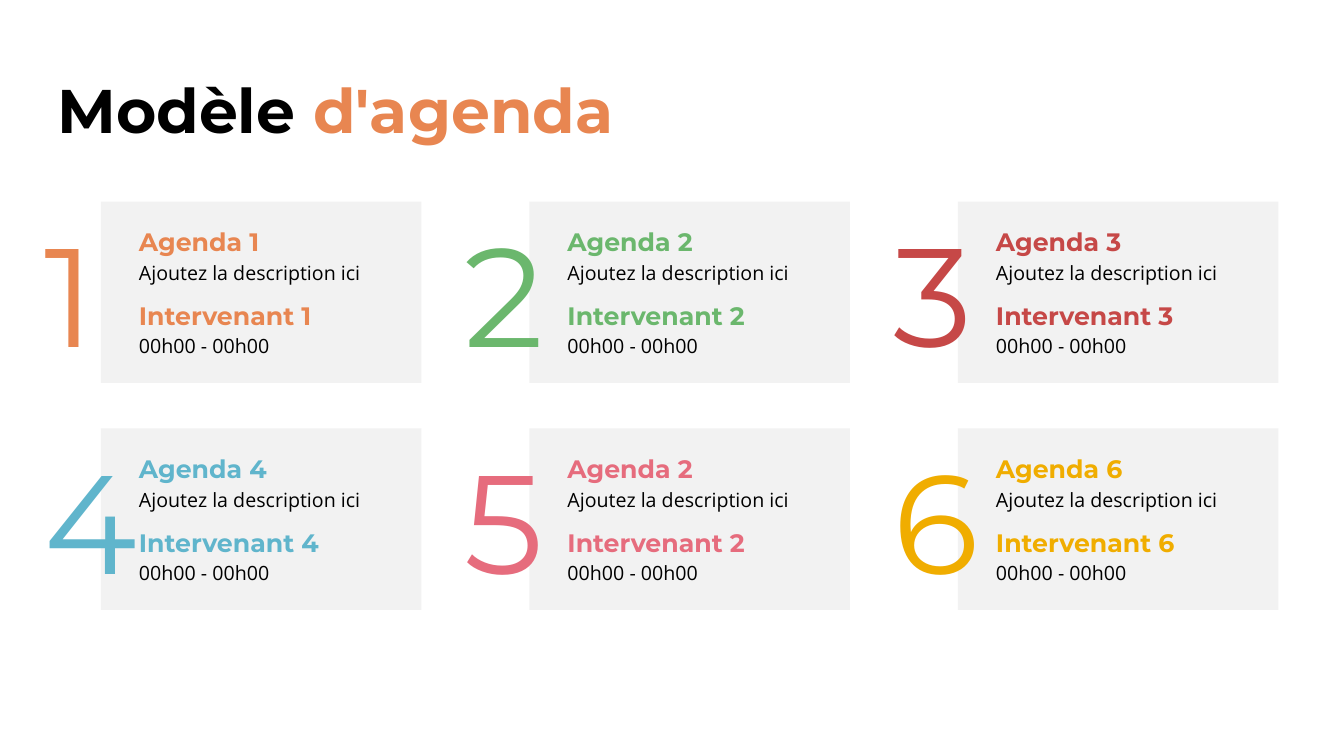
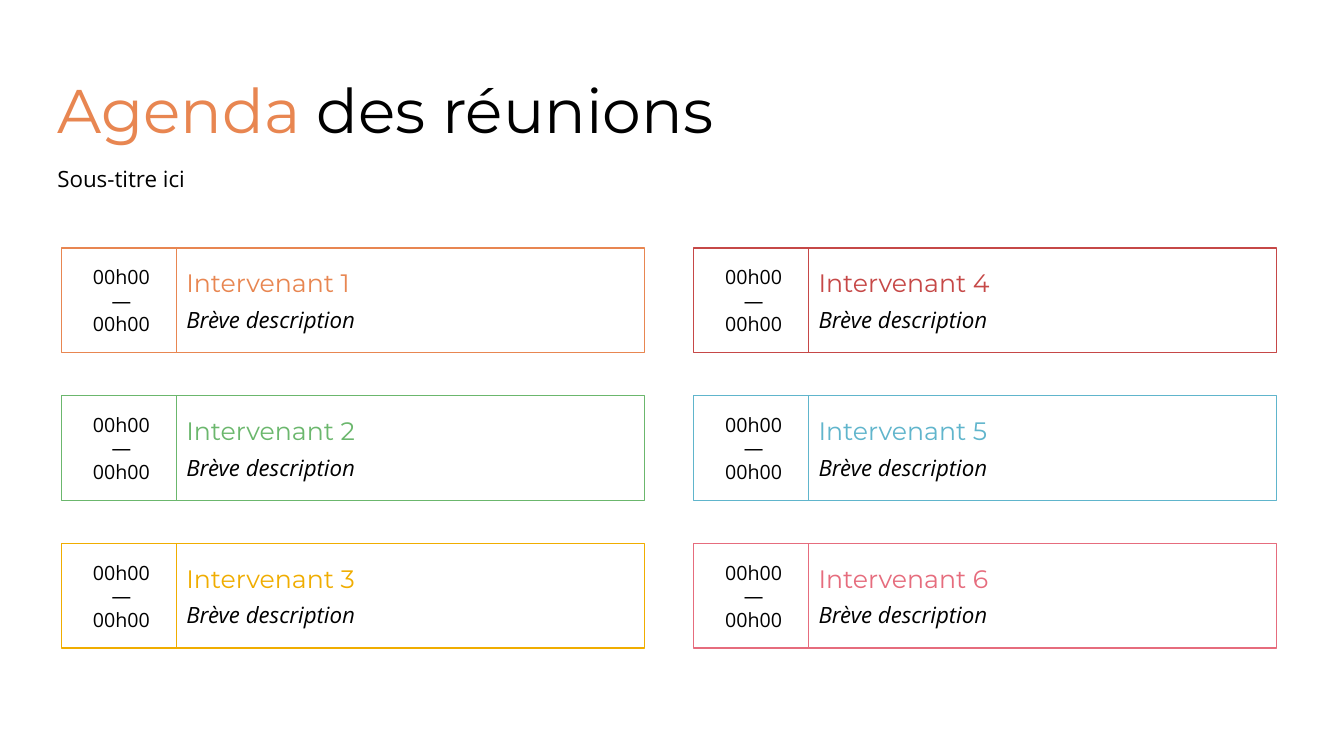
from collections import namedtuple

from pptx import Presentation
from pptx.dml.color import RGBColor as RGB
from pptx.enum.shapes import MSO_SHAPE as Shape
from pptx.enum.text import MSO_ANCHOR as Anchor, PP_ALIGN as Align
from pptx.util import Inches, Pt

# Shared colours and fonts
BLACK = RGB(0x00, 0x00, 0x00)
WHITE = RGB(0xFF, 0xFF, 0xFF)
GREY = RGB(0xF2, 0xF2, 0xF2)
ORANGE = RGB(0xE8, 0x86, 0x51)
GREEN = RGB(0x6B, 0xB7, 0x6D)
RED = RGB(0xC6, 0x48, 0x47)
BLUE = RGB(0x60, 0xB5, 0xCC)
PINK = RGB(0xE6, 0x6C, 0x7D)
GOLD = RGB(0xF0, 0xAD, 0x00)
HEAD, BODY = "Montserrat", "Open Sans"

Box = namedtuple("Box", "x y w h")
Grid = namedtuple("Grid", "x y w h dx dy")

WIDE, HIGH = 13.33, 7.5
TITLE = Box(0.47, 0.4, 11.5, 1.45)
CARDS = Grid(1, 2, 3.18, 1.8, 4.25, 2.25)
SLOTS = Grid(0.61, 2.46, 5.78, 1.04, 6.27, 1.465)


def cell(grid, col, row):
    """Box of one grid cell."""
    return Box(grid.x + col * grid.dx, grid.y + row * grid.dy, grid.w, grid.h)


def inch(box):
    return [Inches(size) for size in box]


def line(frame, runs, first=False, gap=0, space=None, align=Align.LEFT, indent=0):
    """Add a paragraph; each run is (text, size, font, colour, bold, italic)."""
    para = frame.paragraphs[0] if first else frame.add_paragraph()
    para.alignment = align
    if gap:
        para.space_before = Pt(gap)
    if space:
        para.line_spacing = space
    if indent:
        props = para._p.get_or_add_pPr()
        props.set("marL", str(Inches(indent)))
        props.set("indent", "0")
    for text, size, face, tint, bold, slant in runs:
        run = para.add_run()
        run.text = text
        font = run.font
        font.size, font.name, font.bold, font.italic = Pt(size), face, bold, slant
        font.color.rgb = tint


def label(shapes, box, anchor=Anchor.MIDDLE):
    """Add a wrapped text box and return its frame."""
    frame = shapes.add_textbox(*inch(box)).text_frame
    frame.word_wrap = True
    frame.vertical_anchor = anchor
    return frame


def panel(shapes, box, fill, edge=None):
    """Add a filled rectangle and return its frame."""
    shape = shapes.add_shape(Shape.RECTANGLE, *inch(box))
    shape.shadow.inherit = False
    shape.fill.solid()
    shape.fill.fore_color.rgb = fill
    if edge is None:
        shape.line.fill.background()
    else:
        shape.line.color.rgb = edge
        shape.line.width = Pt(1)
    frame = shape.text_frame
    frame.word_wrap = True
    frame.vertical_anchor = Anchor.MIDDLE
    return frame


def title(slide, parts, bold):
    runs = [(text, 44, HEAD, tint, bold, False) for text, tint in parts]
    line(label(slide.shapes, TITLE), runs, first=True, space=0.9)


def card(slide, box, digit, name, tint):
    """Grey card with a large digit over its left edge."""
    shapes = slide.shapes.add_group_shape().shapes
    frame = panel(shapes, box, GREY)
    rows = [
        (f"Agenda {name}", True, 0),
        ("Ajoutez la description ici", False, 2.8),
        (f"Intervenant {name}", True, 11.3),
        ("00h00 - 00h00", False, 2.8),
    ]
    for i, (text, head, gap) in enumerate(rows):
        style = (18, HEAD, tint, True) if head else (14, BODY, BLACK, False)
        line(frame, [(text, *style, False)], first=i == 0, gap=gap, indent=0.28)
    # Digit
    # The first column sits a little further right
    shift = 0.66 if box.x == CARDS.x else 0.74
    spot = Box(box.x - shift, box.y + 0.01, 0.95, 1.77)
    line(label(shapes, spot, Anchor.TOP),
         [(str(digit), 100, HEAD, tint, False, False)], first=True)


def slot(slide, box, digit, tint):
    """Time cell beside a speaker cell."""
    split = 1.14
    time = panel(slide.shapes, box._replace(w=split + 0.05), WHITE, tint)
    for i, text in enumerate(("00h00", "—", "00h00")):
        line(time, [(text, 14, BODY, BLACK, False, False)],
             first=i == 0, align=Align.CENTER)
    talk = panel(slide.shapes, box._replace(x=box.x + split, w=box.w - split),
                 WHITE, tint)
    line(talk, [(f"Intervenant {digit}", 18, HEAD, tint, False, False)], first=True)
    line(talk, [("Brève description", 16, BODY, BLACK, False, True)], gap=5.7)


def agenda(slide):
    """Six numbered cards, row by row."""
    title(slide, [("Modèle", BLACK), (" d'agenda", ORANGE)], True)
    items = [(1, ORANGE), (2, GREEN), (3, RED), (4, BLUE), (2, PINK), (6, GOLD)]
    for i, (name, tint) in enumerate(items):
        card(slide, cell(CARDS, i % 3, i // 3), i + 1, name, tint)


def meetings(slide):
    """Six time slots, column by column."""
    title(slide, [("Agenda ", ORANGE), ("des réunions", BLACK)], False)
    under = label(slide.shapes, Box(TITLE.x, 1.62, 6.1, 0.34))
    line(under, [("Sous-titre ici", 16, BODY, BLACK, False, False)],
         first=True, space=0.9)
    for i, tint in enumerate((ORANGE, GREEN, GOLD, RED, BLUE, PINK)):
        slot(slide, cell(SLOTS, i // 3, i % 3), i + 1, tint)


def main():
    deck = Presentation()
    deck.slide_width, deck.slide_height = Inches(WIDE), Inches(HIGH)
    for build in (agenda, meetings):
        build(deck.slides.add_slide(deck.slide_layouts[6]))
    deck.save("out.pptx")


if __name__ == "__main__":
    main()
